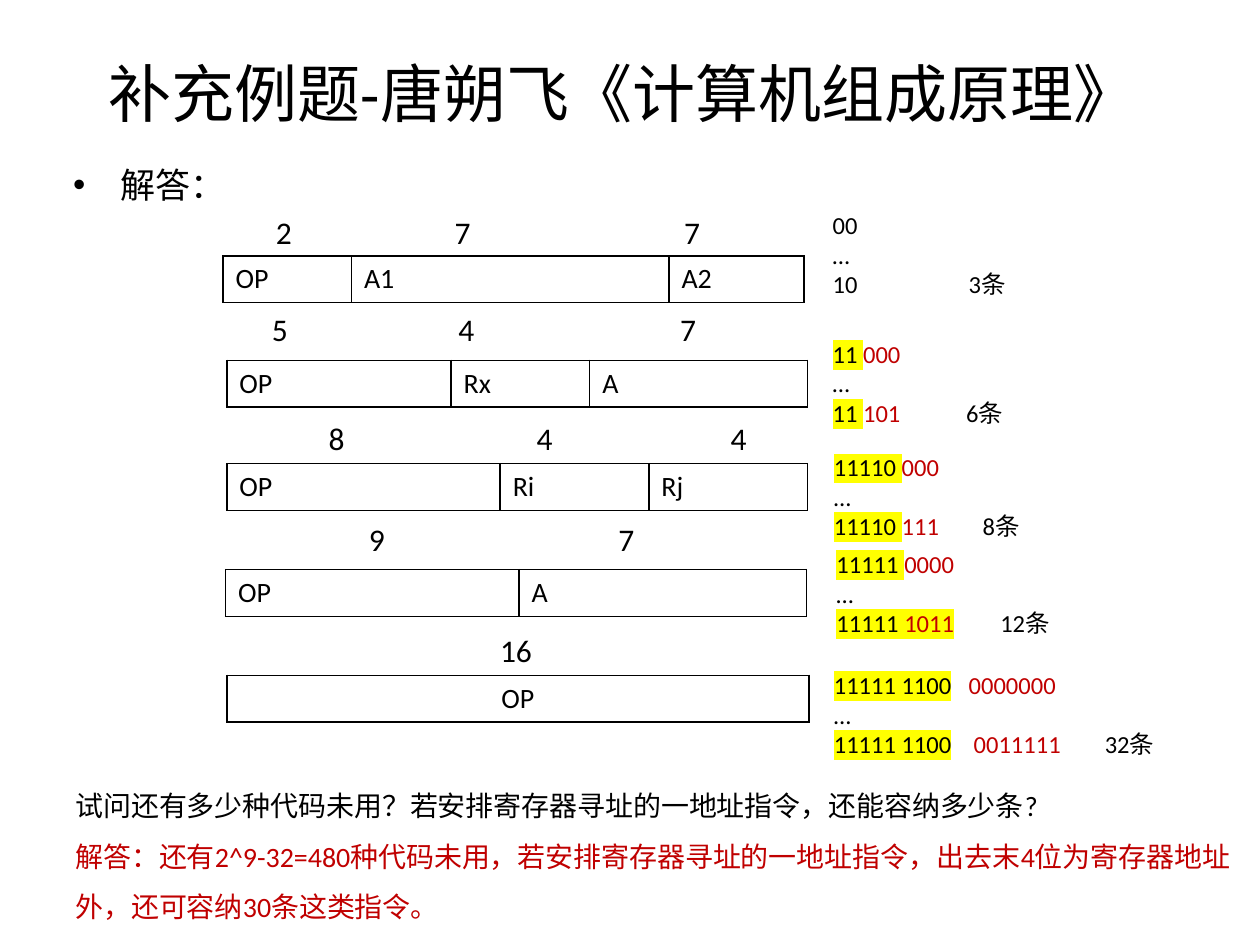
from pptx import Presentation
from pptx.dml.color import RGBColor as RGB
from pptx.enum.text import MSO_ANCHOR as Anchor, MSO_AUTO_SIZE as Fit, PP_ALIGN as Align
from pptx.oxml.ns import qn
from pptx.util import Inches, Pt
from lxml.etree import SubElement as Sub, Element

BLACK = RGB(0x00, 0x00, 0x00)
RED = RGB(0xC0, 0x00, 0x00)
YELLOW = RGB(0xFF, 0xFF, 0x00)
FONT = "Calibri"

# Run looks: text colour, highlight
PLAIN, FREE = (BLACK, None), (RED, None)
MARK, BOTH = (BLACK, YELLOW), (RED, YELLOW)


class Sheet:
    def __init__(self, slide):
        self.slide = slide

    def style(self, para, size, color=BLACK):
        for run in para.runs:
            run.font.name = FONT
            run.font.size = Pt(size)
            run.font.color.rgb = color

    def place(self, shape, left, top, width, height):
        shape.left, shape.top = Inches(left), Inches(top)
        shape.width, shape.height = Inches(width), Inches(height)

    def holder(self, index, text, size, box, anchor, align):
        shape = self.slide.placeholders[index]
        self.place(shape, *box)
        frame = shape.text_frame
        frame.text = text
        frame.auto_size = Fit.NONE
        frame.vertical_anchor = anchor
        para = frame.paragraphs[0]
        para.alignment = align
        para.space_before = Pt(0)
        self.style(para, size)

    def box(self, left, top, width, height):
        area = (Inches(n) for n in (left, top, width, height))
        frame = self.slide.shapes.add_textbox(*area).text_frame
        frame.word_wrap = True
        return frame

    def tabs(self, para, stops):
        if stops:
            tab_list = Sub(para._p.get_or_add_pPr(), qn("a:tabLst"))
            for stop in stops:
                Sub(tab_list, qn("a:tab"), pos=str(Inches(stop)), algn="l")

    def label(self, left, top, text, stops, align=Align.LEFT):
        para = self.box(left, top, 4.09, 0.4).paragraphs[0]
        self.tabs(para, stops)
        para.text = text
        para.alignment = align
        self.style(para, 18)

    def codes(self, left, top, width, lines):
        frame = self.box(left, top, width, 0.81)
        for i, (parts, stops) in enumerate(lines):
            para = frame.add_paragraph() if i else frame.paragraphs[0]
            self.tabs(para, stops)
            for text, (color, back) in parts:
                run = para.add_run()
                run.text = text
                run.font.size = Pt(14)
                run.font.name = FONT
                run.font.color.rgb = color
                if back is not None:
                    mark = Element(qn("a:highlight"))
                    Sub(mark, qn("a:srgbClr"), val=str(back))
                    run.font._element.find(qn("a:solidFill")).addnext(mark)

    def border(self, cell):
        props = cell._tc.get_or_add_tcPr()
        for i, side in enumerate(("lnL", "lnR", "lnT", "lnB")):
            line = Element(qn(f"a:{side}"), w=str(Pt(1)))
            fill = Sub(line, qn("a:solidFill"))
            Sub(fill, qn("a:srgbClr"), val=str(BLACK))
            props.insert(i, line)

    def fields(self, left, top, names, widths, align=Align.LEFT):
        area = (Inches(n) for n in (left, top, sum(widths), 0.37))
        table = self.slide.shapes.add_table(1, len(names), *area).table
        table.first_row = table.horz_banding = False
        for i, (name, width) in enumerate(zip(names, widths)):
            table.columns[i].width = Inches(width)
            cell = table.cell(0, i)
            cell.text = name
            cell.fill.background()
            self.border(cell)
            para = cell.text_frame.paragraphs[0]
            para.alignment = align
            self.style(para, 16)

    def notes(self, left, top, width, height, items):
        frame = self.box(left, top, width, height)
        for i, (text, color) in enumerate(items):
            para = frame.add_paragraph() if i else frame.paragraphs[0]
            para._p.get_or_add_pPr().set("marL", str(Inches(0.5)))
            para.text = text
            para.line_spacing = 1.5
            self.style(para, 16, color)


def main():
    deck = Presentation()
    deck.slide_width, deck.slide_height = Inches(10), Inches(7.5)
    sheet = Sheet(deck.slides.add_slide(deck.slide_layouts[1]))

    # Heading and lead-in
    sheet.holder(0, "补充例题-唐朔飞《计算机组成原理》", 36,
                 (0.44, 0.11, 9, 1.25), Anchor.MIDDLE, Align.CENTER)
    sheet.holder(1, "解答：", 20, (0.48, 1.25, 9, 0.49), Anchor.TOP, Align.LEFT)

    # Instruction formats
    sheet.fields(1.77, 2.03, ["OP", "A1", "A2"], [1.02, 2.52, 1.07])
    sheet.fields(1.8, 2.86, ["OP", "Rx", "A"], [1.78, 1.1, 1.73])
    sheet.fields(1.8, 3.68, ["OP", "Ri", "Rj"], [2.17, 1.18, 1.26])
    sheet.fields(1.79, 4.52, ["OP", "A"], [2.33, 2.28])
    sheet.fields(1.8, 5.36, ["OP"], [4.62], Align.CENTER)

    # Field widths in bits
    sheet.label(2.09, 1.64, "2\t7\t7", [1.42, 3.24])
    sheet.label(2.06, 2.41, "5\t4\t7", [1.48, 3.24])
    sheet.label(2.06, 3.28, "\t8\t4\t4", [0.45, 2.1, 3.64])
    sheet.label(2.03, 4.08, "\t9\t7", [0.8, 2.78])
    sheet.label(2.05, 4.96, "16", [], Align.CENTER)

    # Opcode ranges and instruction counts
    dots = ([("…", PLAIN)], [])
    sheet.codes(6.51, 1.62, 1.65, [
        ([("00", PLAIN)], []), dots,
        ([("10\t3条", PLAIN)], [1.08])])
    sheet.codes(6.51, 2.64, 1.65, [
        ([("11 ", MARK), ("000", FREE)], []), dots,
        ([("11 ", MARK), ("101", FREE), ("\t6条", PLAIN)], [1.06])])
    sheet.codes(6.52, 3.54, 1.84, [
        ([("11110 ", MARK), ("000", FREE)], []), dots,
        ([("11110 ", MARK), ("111", FREE), ("\t8条", PLAIN)], [1.18])])
    sheet.codes(6.54, 4.31, 2.31, [
        ([("11111 ", MARK), ("0000", FREE)], []), dots,
        ([("11111 ", MARK), ("1011", BOTH), ("\t12条", PLAIN)], [1.3])])
    sheet.codes(6.52, 5.27, 3.23, [
        ([("11111 1100\t", MARK), ("0000000", FREE)], [1.07]), dots,
        ([("11111 1100\t", MARK), ("0011111", FREE), ("\t32条", PLAIN)], [1.11, 2.15])])

    # Follow-up question and answer
    sheet.notes(0, 6.08, 10, 1.27, [
        ("试问还有多少种代码未用？若安排寄存器寻址的一地址指令，还能容纳多少条?", BLACK),
        ("解答：还有2^9-32=480种代码未用，若安排寄存器寻址的一地址指令，"
         "出去末4位为寄存器地址外，还可容纳30条这类指令。", RED)])

    deck.save("out.pptx")


if __name__ == "__main__":
    main()
